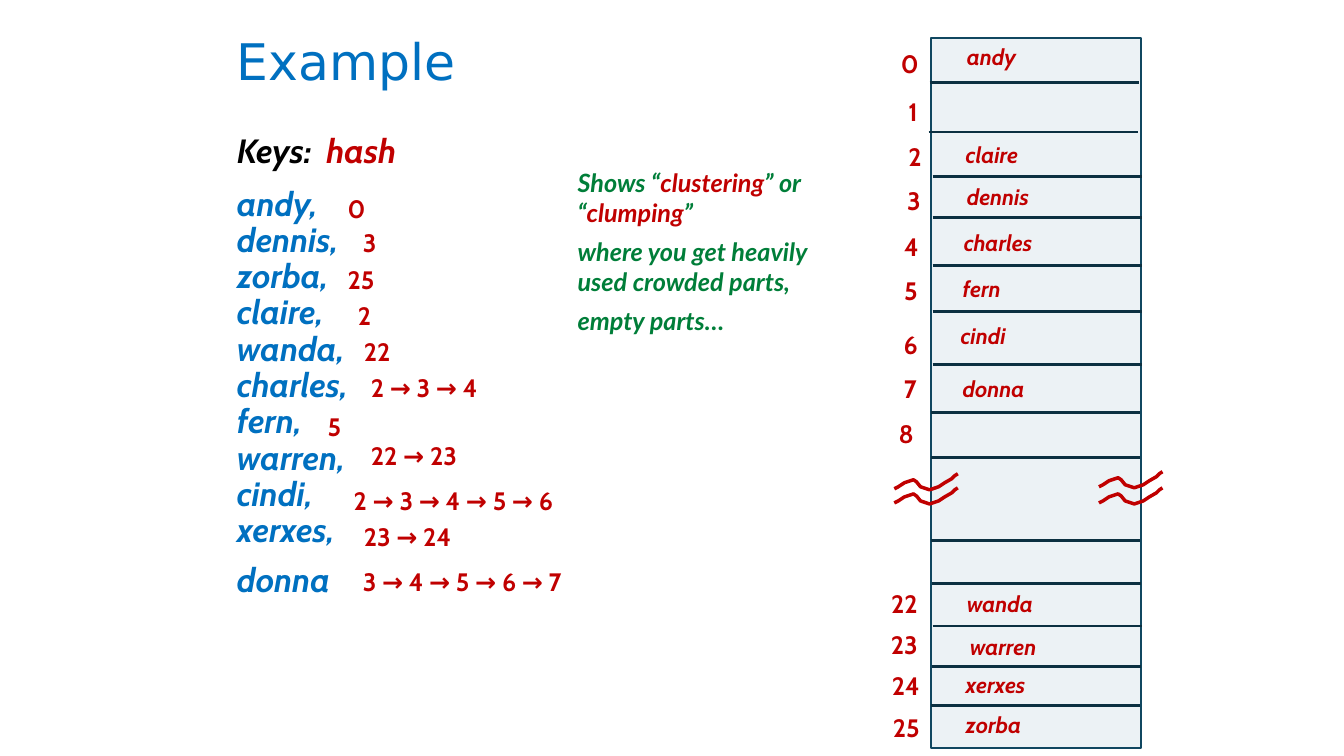
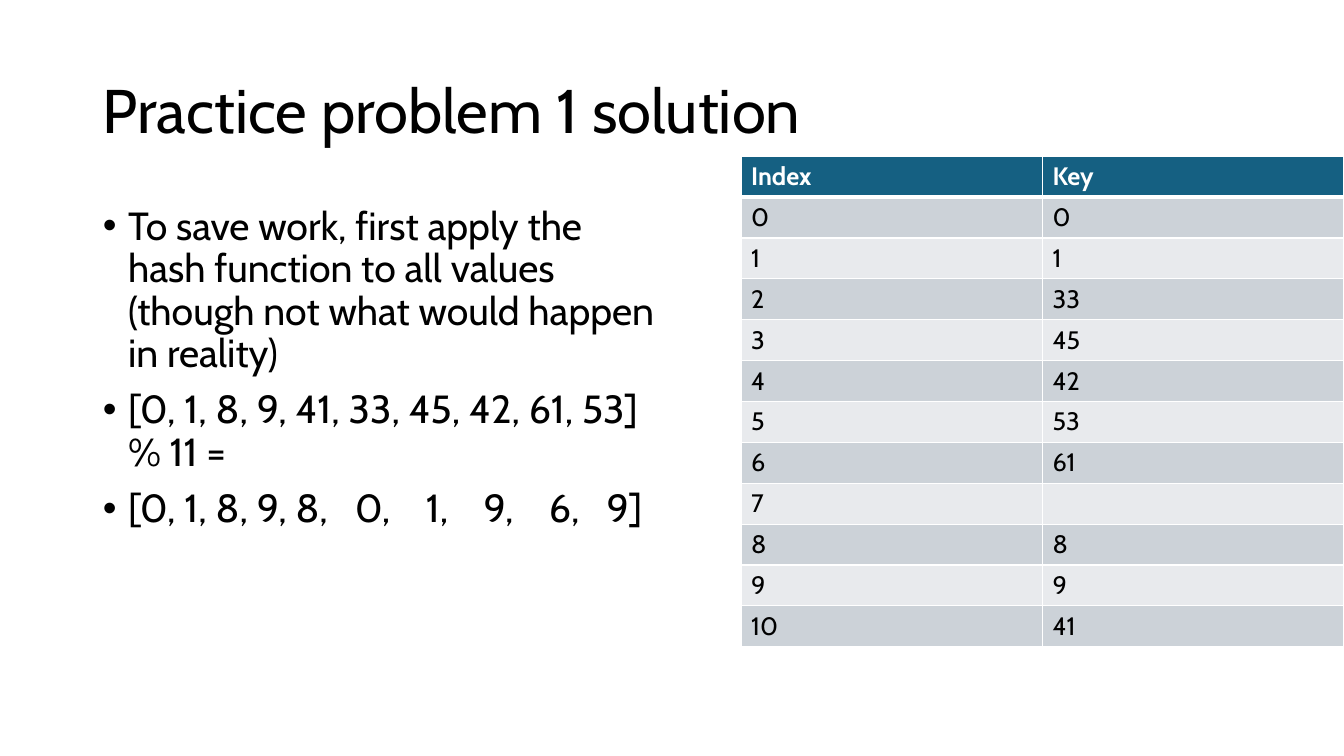
import pptx
import pptx.util
import pptx.dml.color
import pptx.enum.text
import pptx.enum.shapes
import pptx.oxml.ns
import lxml.etree

Inches = pptx.util.Inches
Pt = pptx.util.Pt
RGBColor = pptx.dml.color.RGBColor
Align = pptx.enum.text.PP_ALIGN
Anchor = pptx.enum.text.MSO_ANCHOR
AutoSize = pptx.enum.text.MSO_AUTO_SIZE
qn = pptx.oxml.ns.qn

BLACK = RGBColor(0x00, 0x00, 0x00)
WHITE = RGBColor(0xFF, 0xFF, 0xFF)
BLUE = RGBColor(0x00, 0x70, 0xC0)
RED = RGBColor(0xC0, 0x00, 0x00)
GREEN = RGBColor(0x00, 0x7E, 0x39)
TEAL = RGBColor(0x15, 0x60, 0x82)
TEAL_EDGE = RGBColor(0x10, 0x47, 0x60)
NAVY = RGBColor(0x0B, 0x30, 0x41)
BAND_DARK = RGBColor(0xCC, 0xD2, 0xD8)
BAND_LIGHT = RGBColor(0xE8, 0xEA, 0xED)

# Run formats: font attributes plus "color" and "spacing" (points)
TITLE = {"name": "Cabin", "size": Pt(44), "color": BLACK}
BULLET = {"name": "Cabin", "size": Pt(28), "color": BLACK}
KEY = {"name": "Cabin", "size": Pt(24), "bold": True, "italic": True, "color": BLUE}
INDEX = {"name": "Cabin", "size": Pt(18), "bold": True, "color": RED}
SLOT_NAME = {**INDEX, "size": Pt(16), "italic": True}
NOTE = {"name": "Lato", "size": Pt(18), "bold": True, "italic": True, "color": GREEN}
CELL = {"name": "Cabin", "size": Pt(18), "bold": False, "color": BLACK}
HEADER_CELL = {**CELL, "bold": True, "color": WHITE}

# Paragraph formats
PLAIN = {"space_before": Pt(0), "space_after": Pt(0), "alignment": Align.LEFT}
RIGHT = {**PLAIN, "alignment": Align.RIGHT}
LIST = {**PLAIN, "line_spacing": 0.9}
SPACED_LIST = {**LIST, "space_before": Pt(10), "space_after": Pt(12)}
BULLETS = {**LIST, "space_before": Pt(10)}
SLOT_PARAGRAPH = {**PLAIN, "space_after": Pt(12)}
NOTE_PARAGRAPH = {**PLAIN, "space_before": Pt(6)}


class Deck:
    """Holds the shared style and the current slide."""

    def __init__(self):
        self.presentation = pptx.Presentation()
        self.presentation.slide_width = Inches(13.33)
        self.presentation.slide_height = Inches(7.5)
        self.slide = None

    def add_slide(self):
        self.slide = self.presentation.slides.add_slide(self.presentation.slide_layouts[1])

    def place(self, shape, box):
        for name, value in zip(("left", "top", "width", "height"), box):
            setattr(shape, name, Inches(value))

    def set_paragraph(self, paragraph, runs, layout, indent=None, hanging=0):
        for name, value in layout.items():
            setattr(paragraph, name, value)
        if indent is not None:
            properties = paragraph._p.get_or_add_pPr()
            properties.set("marL", str(Inches(indent)))
            properties.set("indent", str(Inches(-hanging)))
            bullet = "a:buChar" if hanging else "a:buNone"
            element = lxml.etree.SubElement(properties, qn(bullet))
            if hanging:
                element.set("char", "•")
        for text, style in runs:
            run = paragraph.add_run()
            run.text = text
            for name, value in style.items():
                if name == "color":
                    run.font.color.rgb = value
                elif name == "spacing":
                    run._r.get_or_add_rPr().set("spc", str(value * 100))
                else:
                    setattr(run.font, name, value)

    def title(self, text, box, **changes):
        shape = self.slide.shapes.title
        self.place(shape, box)
        shape.text_frame.auto_size = AutoSize.NONE
        shape.text_frame.vertical_anchor = Anchor.MIDDLE
        self.set_paragraph(shape.text_frame.paragraphs[0],
                           [(text, {**TITLE, **changes})], LIST)

    def body(self, paragraphs, box, indent, hanging=0):
        shape = self.slide.placeholders[1]
        self.place(shape, box)
        frame = shape.text_frame
        frame.auto_size = AutoSize.NONE
        frame.vertical_anchor = Anchor.TOP
        for number, (runs, layout) in enumerate(paragraphs):
            paragraph = frame.add_paragraph() if number else frame.paragraphs[0]
            self.set_paragraph(paragraph, runs, layout, indent, hanging)

    def text(self, paragraphs, box, layout=PLAIN, indent=None):
        shape = self.slide.shapes.add_textbox(*map(Inches, box))
        frame = shape.text_frame
        frame.word_wrap = True
        frame.auto_size = AutoSize.SHAPE_TO_FIT_TEXT
        for number, runs in enumerate(paragraphs):
            paragraph = frame.add_paragraph() if number else frame.paragraphs[0]
            self.set_paragraph(paragraph, runs, layout, indent)

    def rectangle(self, box, fill, opacity, color, width):
        shape = self.slide.shapes.add_shape(
            pptx.enum.shapes.MSO_SHAPE.RECTANGLE, *map(Inches, box))
        shape.shadow.inherit = False
        shape.fill.solid()
        shape.fill.fore_color.rgb = fill
        solid = shape._element.spPr.find(qn("a:solidFill"))
        lxml.etree.SubElement(solid[0], qn("a:alpha")).set("val", str(opacity * 1000))
        shape.line.color.rgb = color
        shape.line.width = Pt(width)

    def line(self, left, top, length, color, width):
        connector = self.slide.shapes.add_connector(
            pptx.enum.shapes.MSO_CONNECTOR.STRAIGHT,
            Inches(left), Inches(top), Inches(left + length), Inches(top))
        connector.line.color.rgb = color
        connector.line.width = Pt(width)
        lxml.etree.SubElement(connector._element.spPr, qn("a:effectLst"))

    def wave(self, left, top, points, color, width):
        start, *rest = [(Inches(left + x), Inches(top + y)) for x, y in points]
        builder = self.slide.shapes.build_freeform(*start)
        builder.add_line_segments(rest, close=False)
        shape = builder.convert_to_shape()
        shape.shadow.inherit = False
        shape.fill.background()
        shape.line.color.rgb = color
        shape.line.width = Pt(width)

    def border(self, cell, side, width):
        line = lxml.etree.SubElement(cell._tc.get_or_add_tcPr(), qn("a:" + side))
        line.set("w", str(Pt(width)))
        fill = lxml.etree.SubElement(line, qn("a:solidFill"))
        lxml.etree.SubElement(fill, qn("a:srgbClr")).set("val", str(WHITE))

    def table(self, rows, box):
        table = self.slide.shapes.add_table(
            len(rows), len(rows[0]), *map(Inches, box)).table
        for row, values in enumerate(rows):
            fill = (BAND_DARK if row % 2 else BAND_LIGHT) if row else TEAL
            widths = {"lnL": 1, "lnR": 1, "lnT": 3 if row == 1 else 1,
                      "lnB": 1 if row else 3}
            for column, value in enumerate(values):
                cell = table.cell(row, column)
                for side, width in widths.items():
                    self.border(cell, side, width)
                cell.fill.solid()
                cell.fill.fore_color.rgb = fill
                if value:
                    style = CELL if row else HEADER_CELL
                    self.set_paragraph(cell.text_frame.paragraphs[0],
                                       [(value, style)], PLAIN)


# Hash table slots: index, right edge and top of its label; key, left and top
SLOTS = [
    ("0", 9.21, 0.43, "andy", 9.37, 0.38),
    ("1", 9.2, 0.91, None, 0, 0),
    ("2", 9.24, 1.35, "claire", 9.36, 1.35),
    ("3", 9.23, 1.79, "dennis", 9.37, 1.77),
    ("4", 9.21, 2.25, "charles", 9.34, 2.22),
    ("5", 9.2, 2.68, "fern", 9.33, 2.68),
    ("6", 9.2, 3.22, "cindi", 9.31, 3.15),
    ("7", 9.19, 3.65, "donna", 9.33, 3.67),
    ("8", 9.16, 4.1, None, 0, 0),
    ("22", 9.2, 5.79, "wanda", 9.37, 5.81),
    ("23", 9.2, 6.19, "warren", 9.4, 6.23),
    ("24", 9.22, 6.6, "xerxes", 9.36, 6.61),
    ("25", 9.22, 7.02, "zorba", 9.36, 7.01),
]
# Left end and height of each line between slots
DIVIDERS = [
    (9.22, 0.82), (9.21, 1.31), (9.25, 1.75), (9.25, 2.16), (9.25, 2.63),
    (9.25, 3.09), (9.25, 3.62), (9.23, 4.09), (9.23, 4.54), (9.23, 5.36),
    (9.24, 5.79), (9.25, 6.21), (9.24, 6.61), (9.23, 7),
]
# Probed slots beside each key: text, left, top, width
PROBES = [
    ("0", 3.35, 1.87, 0.38), ("3", 3.5, 2.21, 0.38), ("25", 3.35, 2.57, 0.67),
    ("2", 3.45, 2.93, 0.38), ("22", 3.51, 3.29, 0.67),
    ("2 → 3 → 4", 3.58, 3.64, 1.68), ("5", 3.15, 4.03, 0.38),
    ("22 → 23", 3.58, 4.32, 1.35), ("2 → 3 → 4 → 5 → 6", 3.41, 4.77, 2.79),
    ("23 → 24", 3.51, 5.12, 1.42), ("3 → 4 → 5 → 6 → 7", 3.5, 5.57, 2.63),
]
KEYS = ["andy,", "dennis,", "zorba,", "claire,", "wanda,", "charles,", "fern,",
        "warren,", "cindi,", "xerxes,"]
WAVE = [(0, 0.15), (0.04, 0.13), (0.1, 0.09), (0.16, 0.07), (0.19, 0.06),
        (0.22, 0.08), (0.26, 0.13), (0.32, 0.15), (0.35, 0.16), (0.44, 0.13),
        (0.5, 0.09), (0.57, 0.05), (0.6, 0.02), (0.63, 0)]
WAVE_CORNERS = [(10.9, 4.68), (10.9, 4.84), (8.87, 4.7), (8.87, 4.84)]


def build_example(deck):
    deck.add_slide()
    deck.title("Example", (2.25, 0.24, 4.67, 0.79),
               name="DejaVu Sans", size=Pt(36), color=BLUE)

    # Keys and the slots they probe
    heading = [("Keys:", {**KEY, "color": BLACK}), (" ", {**KEY, "spacing": 5}),
               ("hash", {**KEY, "color": RED})]
    deck.body([(heading, SPACED_LIST)]
              + [([(key, KEY)], LIST) for key in KEYS]
              + [([("donna", KEY)], SPACED_LIST)],
              (2.13, 1.28, 2.67, 5.39), indent=0.12)
    for text, left, top, width in PROBES:
        deck.text([[(text, INDEX)]], (left, top, width, 0.4))

    # Hash table
    deck.rectangle((9.23, 0.38, 2.09, 7.04), TEAL, 8, TEAL_EDGE, 1.5)
    for left, top in DIVIDERS:
        deck.line(left, top, 2.08, NAVY, 2)
    for index, right, top, name, name_left, name_top in SLOTS:
        deck.text([[(index, INDEX)]], (right - 0.65, top, 0.65, 0.4), RIGHT)
        if name:
            deck.text([[(name, SLOT_NAME)]], (name_left, name_top, 1.25, 0.37),
                      SLOT_PARAGRAPH, indent=0.12)
    for left, top in WAVE_CORNERS:
        deck.wave(left, top, WAVE, RED, 2.5)

    # Note on clustering
    marked = {**NOTE, "color": RED}
    deck.text([
        [("Shows “", NOTE), ("clustering", marked), ("” or “", NOTE),
         ("clumping", marked), ("”", NOTE)],
        [("where you get heavily used crowded parts,", NOTE)],
        [("empty parts…", NOTE)],
    ], (5.63, 1.61, 2.88, 2.39), NOTE_PARAGRAPH)


def build_solution(deck):
    deck.add_slide()
    deck.title("Practice problem 1 solution", (0.92, 0.4, 11.5, 1.45))

    # Steps, with the hashes spaced to stand under their values
    hashes = [("[0, 1, 8, 9, 8,", BULLET)]
    for spacing, text in [(13, "0,"), (19, "1,"), (19, "9,"), (19, "6,"), (13, "9]")]:
        hashes += [(" ", {**BULLET, "spacing": spacing}), (text, BULLET)]
    steps = [
        [("To save work, first apply the hash function to all values "
          "(though not what would happen in reality)", BULLET)],
        [("[0, 1, 8, 9, 41, 33, 45, 42, 61, 53] % 11 =", BULLET)],
        hashes,
    ]
    deck.body([(runs, BULLETS) for runs in steps],
              (0.92, 2, 5.75, 4.76), indent=0.25, hanging=0.25)

    # Resulting hash table
    keys = ["0", "1", "33", "45", "42", "53", "61", "", "8", "9", "41"]
    rows = [("Index", "Key")] + [(str(index), key) for index, key in enumerate(keys)]
    deck.table(rows, (7.35, 1.55, 5.98, 4.86))


def main():
    deck = Deck()
    build_example(deck)
    build_solution(deck)
    deck.presentation.save("out.pptx")


if __name__ == "__main__":
    main()
